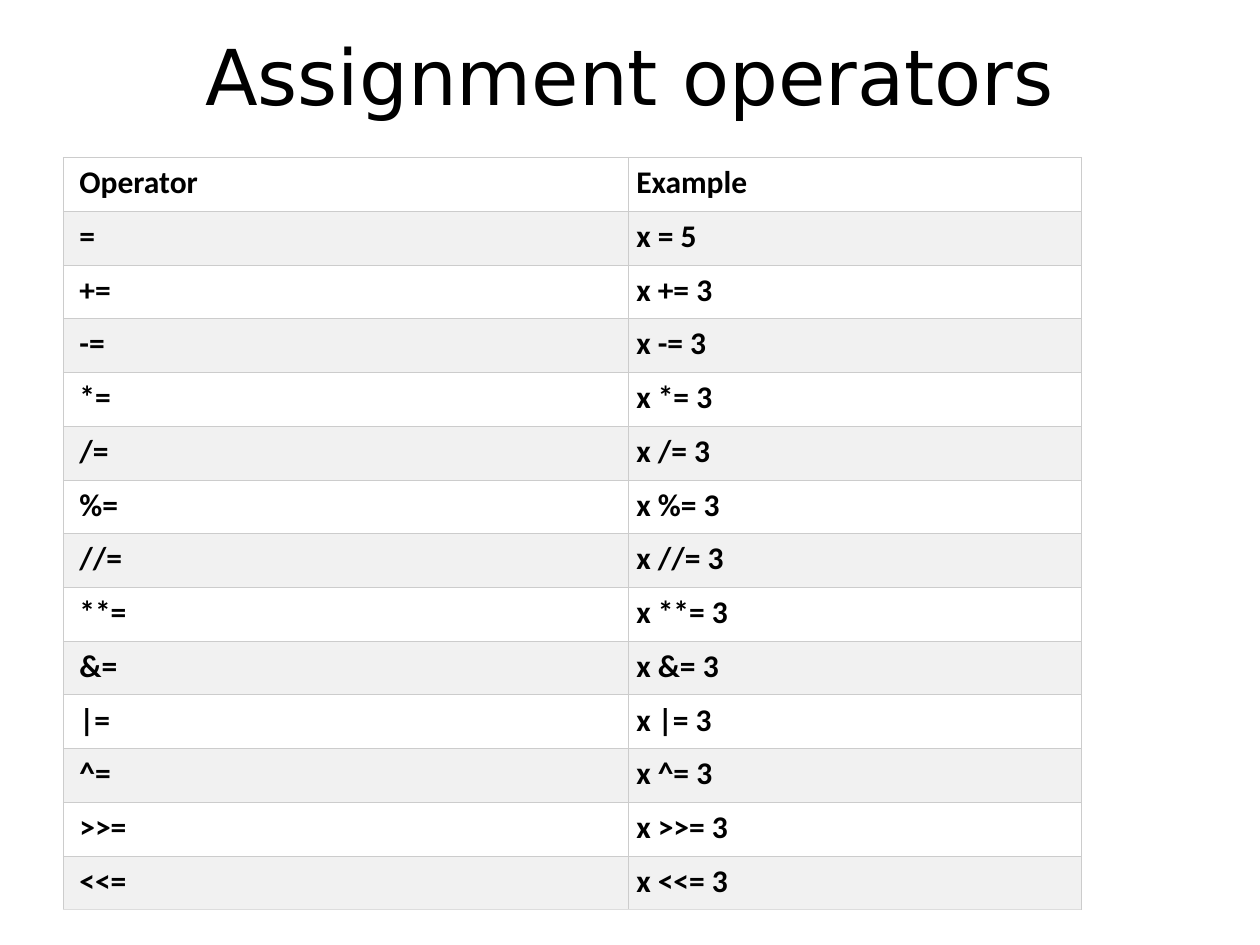
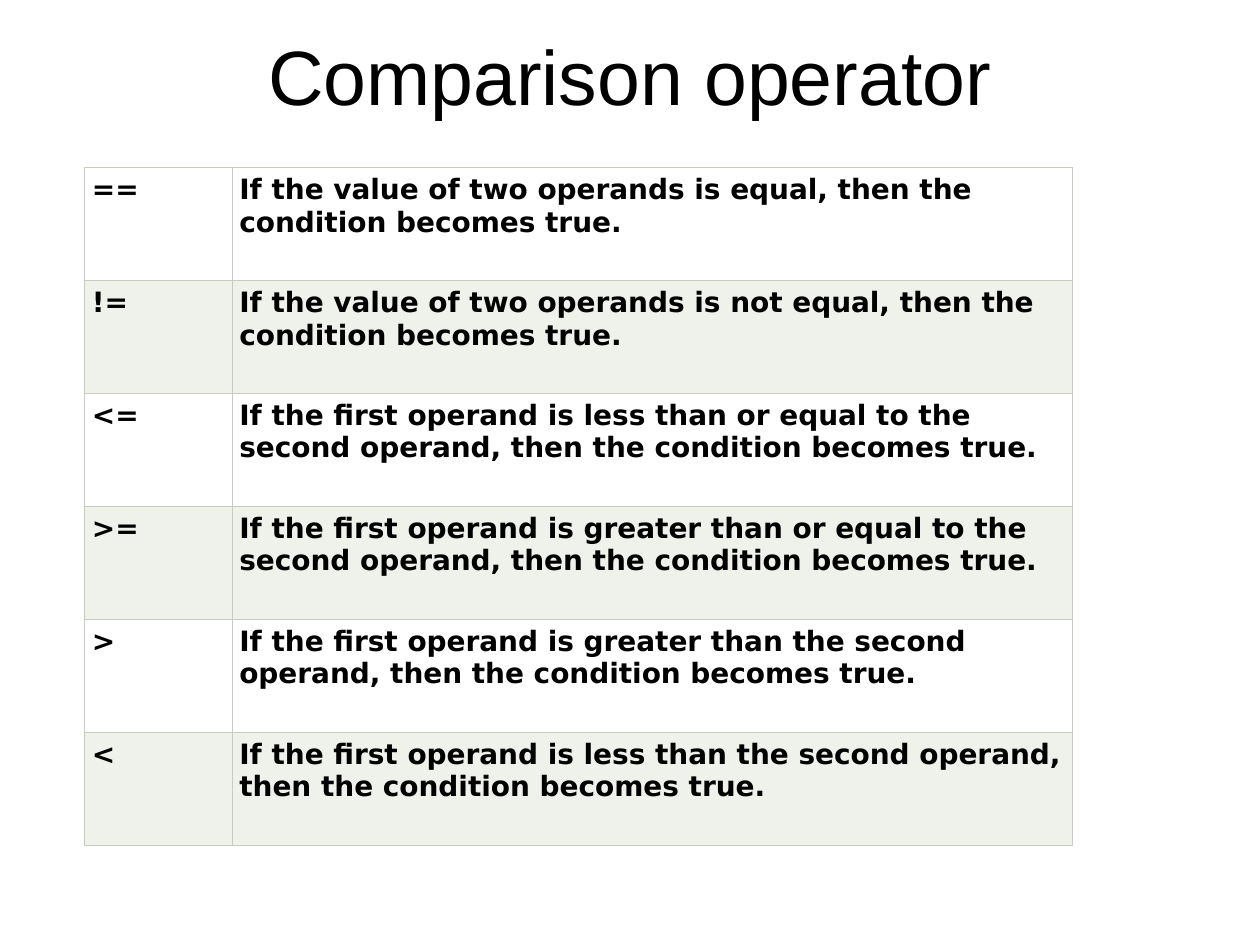
from dataclasses import dataclass

from lxml import etree
from pptx import Presentation
from pptx.dml.color import RGBColor
from pptx.enum import text as t
from pptx.oxml import ns
from pptx.util import Emu, Inches, Pt


@dataclass(frozen=True)
class Theme:
    ink: str = "000000"
    paper: str = "FFFFFF"
    title_size: int = 44
    border_width: float = 0.34


THEME = Theme()
TITLE_BOX = (0.5, 0.3, 9, 1.25)

OPERATORS = ["+=", "-=", "*=", "/=", "%=", "//=", "**=", "&=", "|=", "^=", ">>=", "<<="]
COMPARISONS = [
    ("==", "If the value of two operands is equal"),
    ("!=", "If the value of two operands is not equal"),
    ("<=", "If the first operand is less than or equal to the second operand"),
    (">=", "If the first operand is greater than or equal to the second operand"),
    (">", "If the first operand is greater than the second operand"),
    ("<", "If the first operand is less than the second operand"),
]

SLIDES = [
    dict(
        title="Assignment operators", title_font="DejaVu Sans",
        rows=[("Operator", "Example"), ("=", "x = 5")] + [(op, f"x {op} 3") for op in OPERATORS],
        corner=(0.5, 1.25), columns=(4.49, 3.59), height=5.97, insets=(0.13, 0.06),
        font="Calibri", size=18, band="F1F1F1", border="CCCCCC", last_border="DDDDDD",
    ),
    dict(
        title="Comparison operator", title_font="Arial",
        rows=[(op, f"{case}, then the condition becomes true.") for op, case in COMPARISONS],
        corner=(0.67, 1.33), columns=(1.17, 6.67), height=5.38, insets=(0.06, 0.06),
        font="DejaVu Sans", size=16, band="EFF1EB", border="C7CCBE", last_border="C7CCBE",
    ),
]


def write(p, content, font, size, bold=False):
    r = p.add_run()
    r.text = content
    for name, value in dict(name=font, size=Pt(size), bold=bold).items():
        setattr(r.font, name, value)
    r.font.color.rgb = RGBColor.from_string(THEME.ink)


def add_title(s, content, font):
    title = s.shapes.title
    title.left, title.top, title.width, title.height = map(Inches, TITLE_BOX)
    tf = title.text_frame
    frame = dict(vertical_anchor=t.MSO_ANCHOR.TOP, margin_top=0, word_wrap=True,
                 auto_size=t.MSO_AUTO_SIZE.NONE)
    for name, value in frame.items():
        setattr(tf, name, value)
    p = tf.paragraphs[0]
    p.alignment = t.PP_ALIGN.CENTER
    p.line_spacing = 0.92
    write(p, content, font, THEME.title_size)


def set_borders(cell, color, bottom):
    props = cell._tc.get_or_add_tcPr()
    for side, side_color in zip("LRTB", (color, color, color, bottom)):
        line = etree.SubElement(props, ns.qn(f"a:ln{side}"), w=str(int(Pt(THEME.border_width))))
        fill = etree.SubElement(line, ns.qn("a:solidFill"))
        etree.SubElement(fill, ns.qn("a:srgbClr"), val=side_color)


def add_operator_table(s, d):
    rows, columns = d["rows"], d["columns"]
    box = map(Inches, (*d["corner"], sum(columns), d["height"]))
    table = s.shapes.add_table(len(rows), len(columns), *box).table
    table.first_row = table.horz_banding = False
    for column, width in zip(table.columns, columns):
        column.width = Inches(width)

    for i, row in enumerate(rows):
        table.rows[i].height = Emu(Inches(d["height"]) // len(rows))
        bottom = d["last_border"] if i == len(rows) - 1 else d["border"]
        for j, content in enumerate(row):
            cell = table.cell(i, j)
            margins = dict(left=d["insets"][j], top=0.05, right=0.06, bottom=0.05)
            for side, margin in margins.items():
                setattr(cell, f"margin_{side}", Inches(margin))
            set_borders(cell, d["border"], bottom)
            cell.fill.solid()
            cell.fill.fore_color.rgb = RGBColor.from_string(d["band"] if i % 2 else THEME.paper)
            write(cell.text_frame.paragraphs[0], content, d["font"], d["size"], bold=True)


def main():
    prs = Presentation()
    prs.slide_width, prs.slide_height = Inches(10), Inches(7.5)
    title_only = prs.slide_layouts[5]
    for d in SLIDES:
        s = prs.slides.add_slide(title_only)
        add_title(s, d["title"], d["title_font"])
        add_operator_table(s, d)
    prs.save("out.pptx")


if __name__ == "__main__":
    main()
